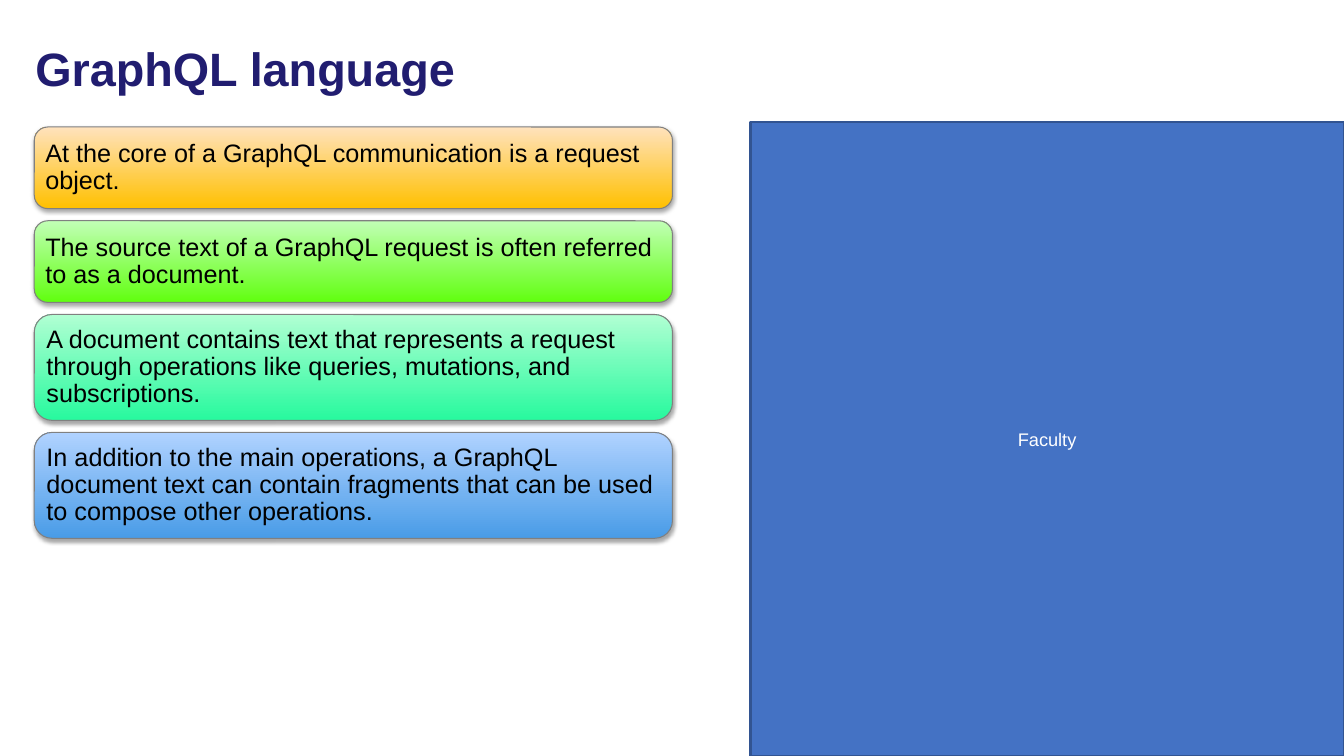
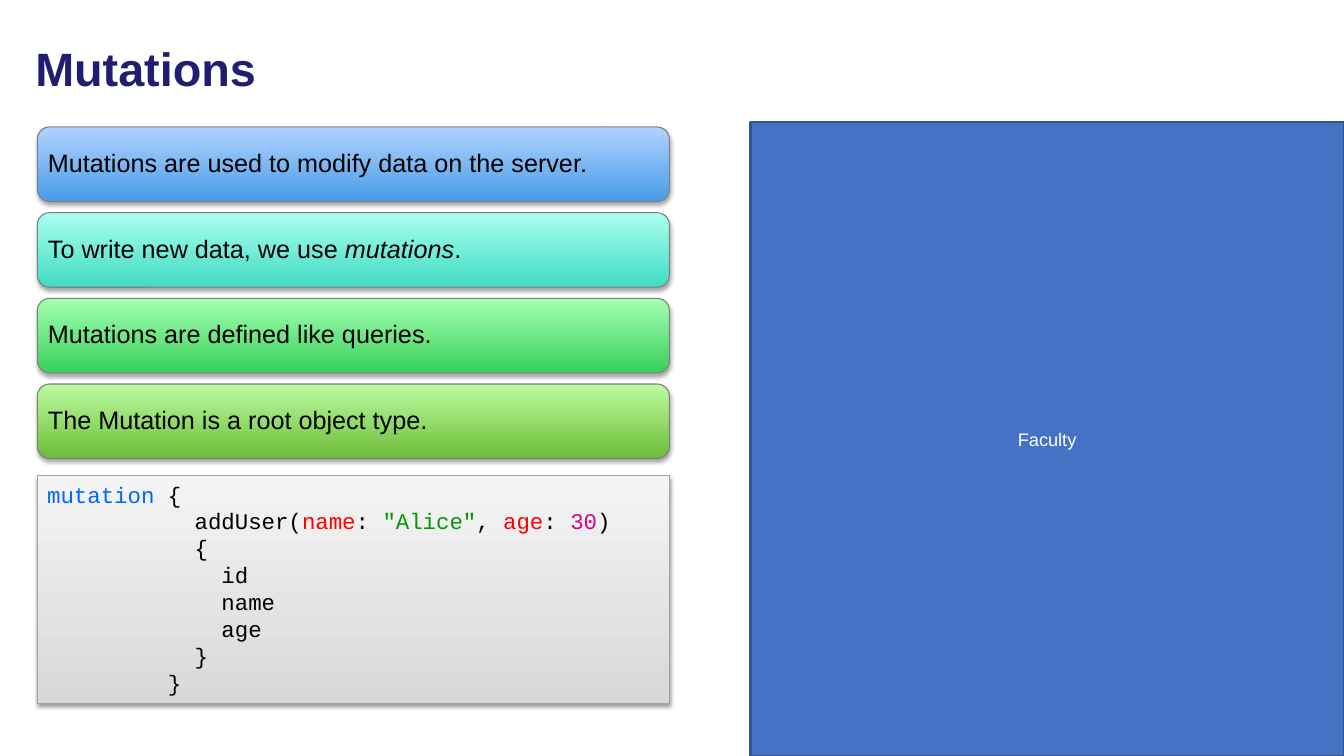
from pptx import Presentation
from pptx.dml.color import RGBColor
from pptx.enum.shapes import MSO_SHAPE
from pptx.enum.text import MSO_ANCHOR, MSO_AUTO_SIZE, PP_ALIGN
from pptx.oxml.ns import qn
from pptx.util import Inches, Pt
from lxml import etree

RECT, ROUNDED = MSO_SHAPE.RECTANGLE, MSO_SHAPE.ROUNDED_RECTANGLE
LEFT, CENTER = PP_ALIGN.LEFT, PP_ALIGN.CENTER
TOP, MIDDLE = MSO_ANCHOR.TOP, MSO_ANCHOR.MIDDLE
TITLE_ONLY = 5

SLIDE_W, SLIDE_H = 13.33, 7.5
TITLE_BOX = (0.25, 0.25, 11.81, 0.91)
PANEL_LEFT, PANEL_TOP = 7.44, 1.21
CARDS_TOP = 1.26

BLACK = "000000"
TITLE_FONT = {"name": "Arial", "size": Pt(33.4), "bold": True}
CARD_FONT = {"name": "Arial", "size": Pt(18)}
PANEL_FONT = {"name": "Arial", "size": Pt(13)}
CODE_FONT = {"name": "Courier New", "size": Pt(16)}
KEYWORD, ARGUMENT, STRING, NUMBER = "0066FF", "FF0000", "009900", "D60093"

# Each card: height, bottom colour, top colour, text runs (text, italic)
LANGUAGE = {
    "title": "GraphQL language", "left": 0.34, "width": 6.33, "gap": 0.12,
    "cards": [
        (0.81, "FFC000", "FFE2BD",
         [("At the core of a GraphQL communication is a request object.", False)]),
        (0.81, "61FF10", "C1FFB5",
         [("The source text of a GraphQL request is often referred to as a document.", False)]),
        (1.05, "27F99E", "B1FFD3",
         [("A document contains text that represents a request through operations "
           "like queries, mutations, and subscriptions.", False)]),
        (1.05, "499CE7", "B0D2FF",
         [("In addition to the main operations, a GraphQL document text can contain "
           "fragments that can be used to compose other operations.", False)]),
    ],
}
MUTATIONS = {
    "title": "Mutations", "left": 0.37, "width": 6.27, "gap": 0.11,
    "cards": [
        (0.74, "499CE7", "B0D2FF",
         [("Mutations are used to modify data on the server.", False)]),
        (0.74, "40DCC5", "AAFFEE",
         [("To write new data, we use ", False), ("mutations", True), (".", False)]),
        (0.74, "38D05A", "A4FFB1", [("Mutations are defined like queries.", False)]),
        (0.74, "6DBC38", "BBFCA0", [("The Mutation is a root object type.", False)]),
    ],
}
CODE_TOP, CODE_HEIGHT = 4.72, 2.26
CODE = [
    [("mutation", KEYWORD), (" {", BLACK)],
    [("           addUser(", BLACK), ("name", ARGUMENT), (": ", BLACK),
     ('"Alice"', STRING), (", ", BLACK), ("age", ARGUMENT), (": ", BLACK),
     ("30", NUMBER), (")", BLACK)],
    [("           {", BLACK)],
    [("             id", BLACK)],
    [("             name", BLACK)],
    [("             age", BLACK)],
    [("           }", BLACK)],
    [("         }", BLACK)],
]


def rgb(colour):
    return RGBColor.from_string(colour)


def place(shape, box):
    shape.left, shape.top, shape.width, shape.height = map(Inches, box)


def add_run(paragraph, text, font, colour, italic=False):
    run = paragraph.add_run()
    run.text = text
    for name, value in font.items():
        setattr(run.font, name, value)
    run.font.color.rgb = rgb(colour)
    if italic:
        run.font.italic = True


def add_box(slide, kind, box, border, border_width, anchor, align):
    shape = slide.shapes.add_shape(kind, *map(Inches, box))
    shape.shadow.inherit = False
    shape.line.color.rgb = rgb(border)
    shape.line.width = Pt(border_width)
    frame = shape.text_frame
    frame.word_wrap = True
    frame.vertical_anchor = anchor
    frame.paragraphs[0].alignment = align
    return shape


def shade(shape, bottom, top):
    """Fill with a gradient that rises from bottom to top."""
    shape.fill.gradient()
    shape.fill.gradient_angle = 90
    for stop, colour, position in zip(shape.fill.gradient_stops, (bottom, top), (0, 1)):
        stop.color.rgb = rgb(colour)
        stop.position = position


def drop_shadow(shape, opacity, distance):
    effects = shape.element.spPr.find(qn("a:effectLst"))
    shadow = etree.SubElement(
        effects, qn("a:outerShdw"), blurRad=str(Pt(3.1)), dist=str(Pt(distance)),
        dir="5400000", rotWithShape="0")
    colour = etree.SubElement(shadow, qn("a:srgbClr"), val=BLACK)
    etree.SubElement(colour, qn("a:alpha"), val=str(opacity * 1000))


def add_topic(prs, layout, topic):
    slide = prs.slides.add_slide(layout)
    frame = slide.shapes.title.text_frame
    frame.vertical_anchor = MIDDLE
    frame.auto_size = MSO_AUTO_SIZE.NONE
    heading = frame.paragraphs[0]
    heading.alignment = LEFT
    heading.line_spacing = 0.9
    add_run(heading, topic["title"], TITLE_FONT, "211D70")

    top = CARDS_TOP
    for height, bottom_colour, top_colour, runs in topic["cards"]:
        card = add_box(slide, ROUNDED, (topic["left"], top, topic["width"], height),
                       "808080", 0.75, MIDDLE, LEFT)
        shade(card, bottom_colour, top_colour)
        drop_shadow(card, 35, 1.8)
        for side in ("left", "right", "top", "bottom"):
            setattr(card.text_frame, f"margin_{side}", Inches(0.07))
        sentence = card.text_frame.paragraphs[0]
        sentence.line_spacing = 0.9
        for text, italic in runs:
            add_run(sentence, text, CARD_FONT, BLACK, italic)
        top += height + topic["gap"]
    return slide


def add_code(slide, left, width):
    listing = add_box(slide, RECT, (left, CODE_TOP, width, CODE_HEIGHT),
                      "A1A1A1", 0.75, TOP, LEFT)
    shade(listing, "D8D8D8", "F4F4F4")
    drop_shadow(listing, 38, 1.6)
    frame = listing.text_frame
    frame.auto_size = MSO_AUTO_SIZE.SHAPE_TO_FIT_TEXT
    for number, tokens in enumerate(CODE):
        line = frame.add_paragraph() if number else frame.paragraphs[0]
        line.alignment = LEFT
        for text, colour in tokens:
            add_run(line, text, CODE_FONT, colour)


def add_panel(slide, layout):
    """Draw the faculty panel, then move it to the layout so all slides share it."""
    panel = add_box(slide, RECT,
                    (PANEL_LEFT, PANEL_TOP, SLIDE_W - PANEL_LEFT, SLIDE_H - PANEL_TOP),
                    "325491", 2, MIDDLE, CENTER)
    panel.fill.solid()
    panel.fill.fore_color.rgb = rgb("4472C4")
    add_run(panel.text_frame.paragraphs[0], "Faculty", PANEL_FONT, "FFFFFF")
    layout.shapes.element.append(panel.element)


def main():
    prs = Presentation()
    prs.slide_width, prs.slide_height = Inches(SLIDE_W), Inches(SLIDE_H)
    layout = prs.slide_layouts[TITLE_ONLY]
    place(layout.placeholders[0], TITLE_BOX)

    language = add_topic(prs, layout, LANGUAGE)
    add_panel(language, layout)
    mutations = add_topic(prs, layout, MUTATIONS)
    add_code(mutations, MUTATIONS["left"], MUTATIONS["width"])
    prs.save("out.pptx")


if __name__ == "__main__":
    main()
